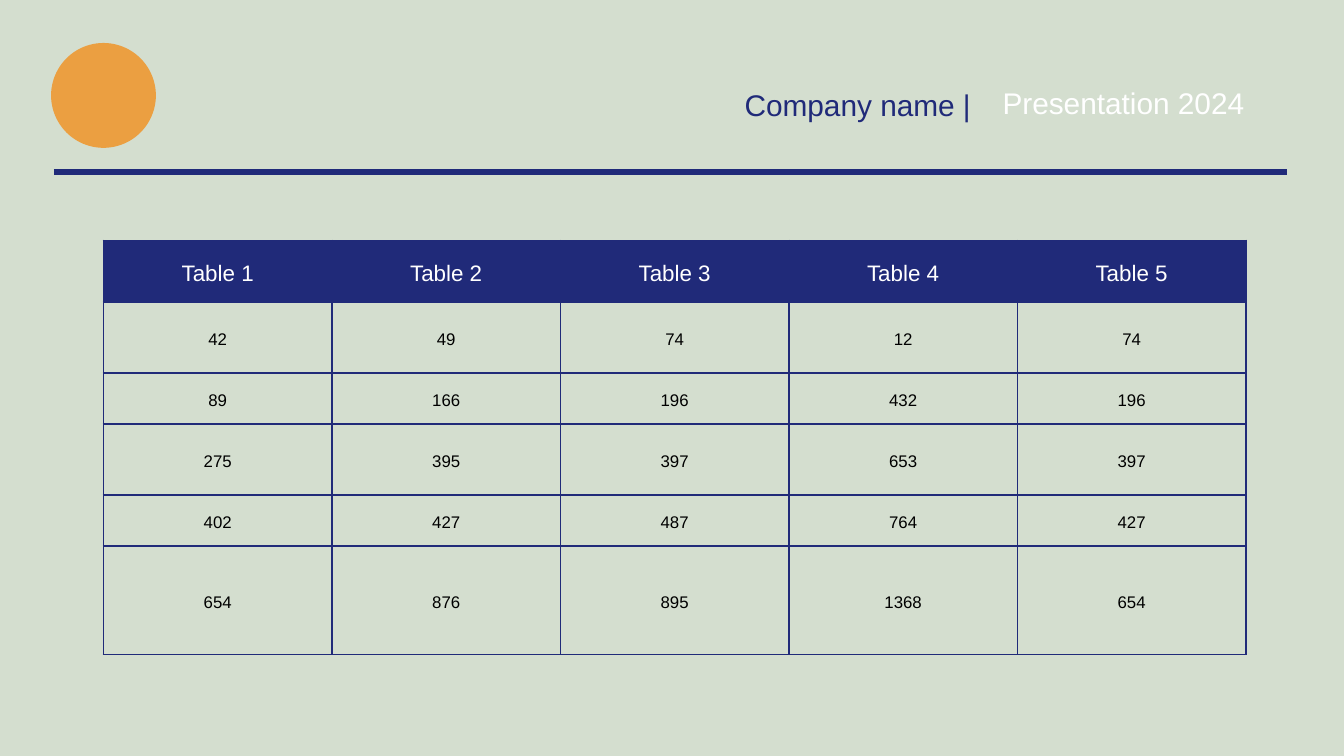
from dataclasses import dataclass

from lxml import etree
from pptx import Presentation
from pptx import util as u
from pptx.dml.color import RGBColor
from pptx.enum import shapes, text
from pptx.oxml import ns

PX = 4572  # EMU in one px, at 200 px to the inch


@dataclass(frozen=True)
class Theme:
    background: str = "D4DECF"
    navy: str = "202A79"
    orange: str = "EB9F41"
    white: str = "FFFFFF"
    black: str = "000000"
    font: str = "Arial"
    heading_size: int = 16
    header_size: int = 12
    body_size: int = 9
    border_width: float = 1.1
    rule_width: int = 3


@dataclass(frozen=True)
class Box:
    left: int
    top: int
    width: int
    height: int

    def emu(self) -> tuple[int, int, int, int]:
        return self.left * PX, self.top * PX, self.width * PX, self.height * PX


THEME = Theme()
TITLE_BOX = Box(1108, 113, 384, 56)
YEAR_BOX = Box(1492, 110, 414, 56)
LOGO_BOX = Box(76, 64, 156, 156)
TABLE_BOX = Box(154, 358, 1700, 616)
CELL_INSET = 16
ROW_HEIGHTS = (91, 106, 76, 106, 76, 161)
HEADERS = tuple(f"Table {number}" for number in range(1, 6))
VALUES = (
    (42, 49, 74, 12, 74),
    (89, 166, 196, 432, 196),
    (275, 395, 397, 653, 397),
    (402, 427, 487, 764, 427),
    (654, 876, 895, 1368, 654),
)


def rgb(color: str) -> RGBColor:
    return RGBColor.from_string(color)


def add_run(paragraph, words: str, size: int, color: str) -> None:
    run = paragraph.add_run()
    run.text = words
    run.font.name = THEME.font
    run.font.size = u.Pt(size)
    run.font.bold = False
    run.font.color.rgb = rgb(color)


def write_heading(shape, box: Box, words: str, color: str) -> None:
    shape.left, shape.top, shape.width, shape.height = box.emu()
    frame = shape.text_frame
    frame.word_wrap = True
    frame.auto_size = text.MSO_AUTO_SIZE.NONE
    frame.vertical_anchor = text.MSO_ANCHOR.TOP
    frame.margin_left = frame.margin_right = frame.margin_top = frame.margin_bottom = 0
    paragraph = frame.paragraphs[0]
    paragraph.alignment = text.PP_ALIGN.LEFT
    paragraph.line_spacing = 1.3
    add_run(paragraph, words, THEME.heading_size, color)


def add_logo(slide) -> None:
    logo = slide.shapes.add_shape(shapes.MSO_SHAPE.OVAL, *LOGO_BOX.emu())
    logo.shadow.inherit = False
    logo.fill.solid()
    logo.fill.fore_color.rgb = rgb(THEME.orange)
    logo.line.fill.background()


def add_rule(slide, left: int, right: int, top: int) -> None:
    rule = slide.shapes.add_connector(
        shapes.MSO_CONNECTOR.STRAIGHT, left * PX, top * PX, right * PX, top * PX)
    rule.line.color.rgb = rgb(THEME.navy)
    rule.line.width = u.Pt(THEME.rule_width)
    etree.SubElement(rule._element.spPr, ns.qn("a:effectLst"))


def add_borders(cell) -> None:
    """Draw all four cell edges, which the schema wants ahead of the fill."""
    properties = cell._tc.get_or_add_tcPr()
    for index, side in enumerate(("lnL", "lnR", "lnT", "lnB")):
        edge = etree.Element(ns.qn(f"a:{side}"), w=str(u.Pt(THEME.border_width)))
        fill = etree.SubElement(edge, ns.qn("a:solidFill"))
        etree.SubElement(fill, ns.qn("a:srgbClr"), val=THEME.navy)
        properties.insert(index, edge)


def write_cell(cell, words: str, is_header: bool) -> None:
    cell.vertical_anchor = text.MSO_ANCHOR.MIDDLE
    cell.margin_left = cell.margin_right = CELL_INSET * PX
    cell.margin_top = cell.margin_bottom = CELL_INSET * PX
    paragraph = cell.text_frame.paragraphs[0]
    paragraph.alignment = text.PP_ALIGN.CENTER
    paragraph.line_spacing = 1.2
    if is_header:
        cell.fill.solid()
        cell.fill.fore_color.rgb = rgb(THEME.navy)
        add_run(paragraph, words, THEME.header_size, THEME.white)
    else:
        cell.fill.background()
        add_run(paragraph, words, THEME.body_size, THEME.black)
    add_borders(cell)


def add_value_table(slide) -> None:
    rows = (HEADERS, *VALUES)
    table = slide.shapes.add_table(len(rows), len(HEADERS), *TABLE_BOX.emu()).table
    table.first_row = table.horz_banding = False
    for row, height in zip(table.rows, ROW_HEIGHTS):
        row.height = height * PX
    for row_index, values in enumerate(rows):
        for column_index, value in enumerate(values):
            write_cell(table.cell(row_index, column_index), str(value), row_index == 0)


def main() -> None:
    presentation = Presentation()
    presentation.slide_width = 2000 * PX
    presentation.slide_height = 1125 * PX
    slide = presentation.slides.add_slide(presentation.slide_layouts.get_by_name("Title Only"))
    slide.background.fill.solid()
    slide.background.fill.fore_color.rgb = rgb(THEME.background)

    add_value_table(slide)
    add_logo(slide)
    add_rule(slide, 80, 1915, 256)
    write_heading(slide.shapes.title, TITLE_BOX, "Company name |", THEME.navy)
    year = slide.shapes.add_textbox(*YEAR_BOX.emu())
    write_heading(year, YEAR_BOX, "Presentation 2024", THEME.white)

    presentation.save("out.pptx")


if __name__ == "__main__":
    main()
